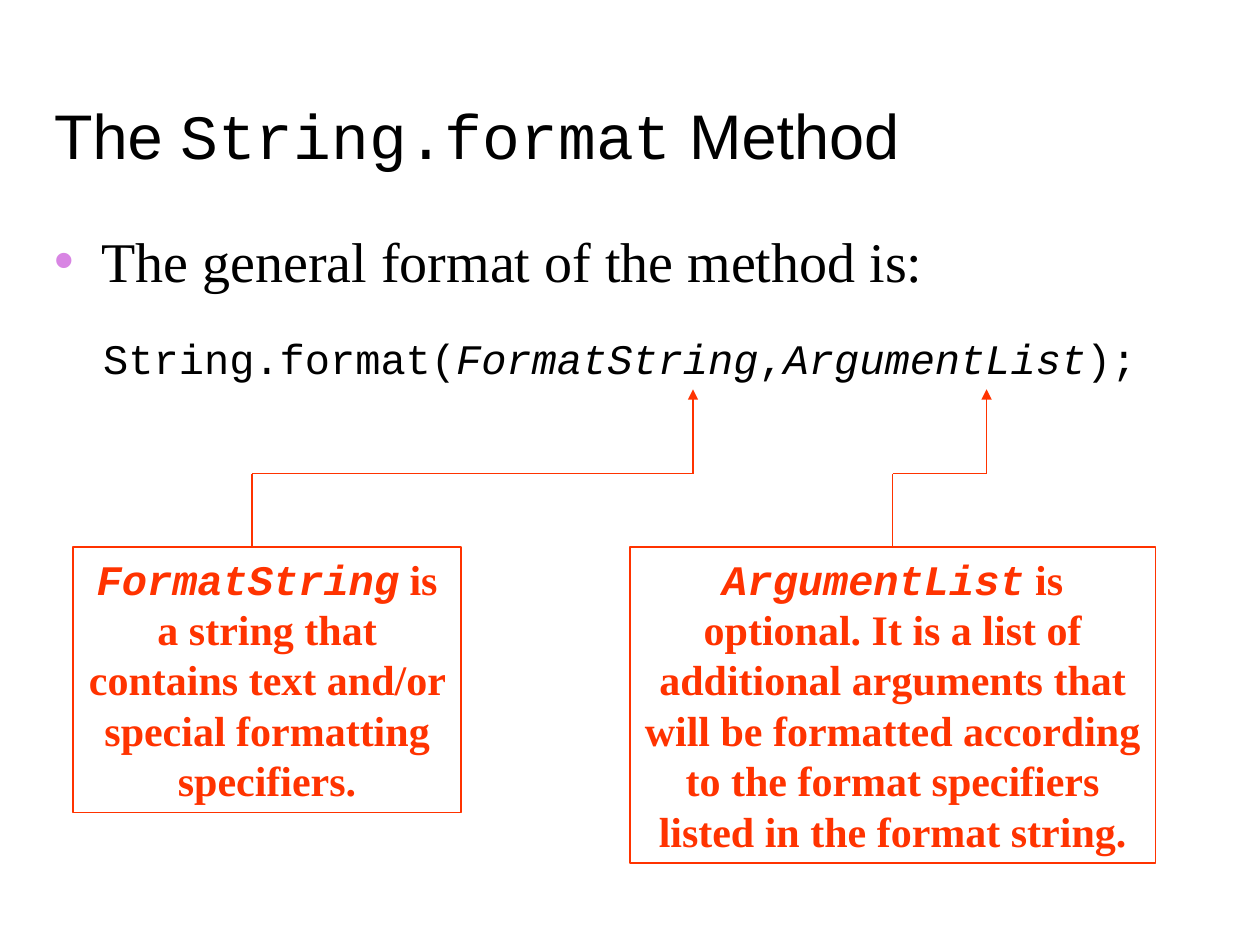
from lxml import etree
from pptx import Presentation
from pptx.dml.color import RGBColor
from pptx.enum.shapes import MSO_CONNECTOR, MSO_SHAPE
from pptx.enum.text import MSO_ANCHOR, MSO_AUTO_SIZE, PP_ALIGN
from pptx.oxml.ns import qn
from pptx.util import Inches, Pt

STRAIGHT = MSO_CONNECTOR.STRAIGHT
RECT = MSO_SHAPE.RECTANGLE
TOP, BOTTOM = MSO_ANCHOR.TOP, MSO_ANCHOR.BOTTOM
NO_FIT, GROW = MSO_AUTO_SIZE.NONE, MSO_AUTO_SIZE.SHAPE_TO_FIT_TEXT
LEFT, CENTER = PP_ALIGN.LEFT, PP_ALIGN.CENTER

SANS, SERIF, MONO = "Arial", "Times New Roman", "Courier New"
BLACK, RED, VIOLET = "000000", "FF3300", "D885E3"
BEND_Y, TIP_Y = 3.76, 3.09


def color(code):
    return RGBColor.from_string(code)


class Deck:
    def __init__(self):
        self.prs = Presentation()
        self.prs.slide_width, self.prs.slide_height = Inches(10), Inches(7.5)
        self.slide = self.prs.slides.add_slide(self.prs.slide_layouts[1])
        self.shapes = self.slide.shapes

    def place(self, shape, *box):
        shape.left, shape.top, shape.width, shape.height = map(Inches, box)

    def fill_text(self, shape, parts, size, ink=BLACK, align=LEFT, anchor=TOP,
                  fit=NO_FIT, bold=False):
        """Fill one paragraph from (text, font, italic) parts."""
        frame = shape.text_frame
        frame.word_wrap = True
        frame.auto_size = fit
        frame.vertical_anchor = anchor
        para = frame.paragraphs[0]
        para.alignment = align
        for text, name, italic in parts:
            run = para.add_run()
            run.text = text
            font = run.font
            font.name, font.size = name, Pt(size)
            font.bold, font.italic = bold, italic
            font.color.rgb = color(ink)
        return para

    def title(self, parts):
        shape = self.shapes.title
        self.place(shape, 0.33, 0.33, 9.42, 1.09)
        self.fill_text(shape, parts, 36, anchor=BOTTOM)

    def bullet(self, text):
        shape = self.slide.placeholders[1]
        self.place(shape, 0.33, 1.75, 9.07, 5)
        shape.text_frame.margin_right = 0
        para = self.fill_text(shape, [(text, SERIF, False)], 32)
        props = para._p.get_or_add_pPr()
        tint = etree.SubElement(props, qn("a:buClr"))
        etree.SubElement(tint, qn("a:srgbClr"), val=VIOLET)

    def code(self, parts, *box):
        shape = self.shapes.add_textbox(*map(Inches, box))
        para = self.fill_text(shape, parts, 24, align=CENTER, fit=GROW)
        para.space_before = para.space_after = Pt(4.8)

    def note(self, term, text, *box):
        shape = self.shapes.add_shape(RECT, *map(Inches, box))
        shape.shadow.inherit = False
        shape.fill.background()
        shape.line.color.rgb = color(RED)
        shape.line.width = Pt(0.75)
        parts = [(term, MONO, True), (text, SERIF, False)]
        self.fill_text(shape, parts, 24, RED, CENTER, fit=GROW, bold=True)
        return shape

    def line(self, start, end, arrow=False):
        link = self.shapes.add_connector(STRAIGHT, *start, *end)
        link.line.color.rgb = color(RED)
        link.line.width = Pt(0.75)
        if arrow:
            etree.SubElement(link.line._ln, qn("a:tailEnd"), type="triangle")
        etree.SubElement(link._element.spPr, qn("a:effectLst"))
        return link

    def elbow(self, box, tip, start=None):
        """Lead from the top of a box, by default its middle, up to the code."""
        x = box.left + box.width // 2 if start is None else Inches(start)
        bend, end = Inches(BEND_Y), Inches(tip)
        stem = self.line((x, box.top), (x, bend))
        if start is None:
            stem.begin_connect(box, 0)
        self.line((x, bend), (end, bend))
        self.line((end, bend), (end, Inches(TIP_Y)), arrow=True)


def main():
    deck = Deck()
    deck.title([("The ", SANS, False), ("String.format", MONO, False),
                (" Method", SANS, False)])
    deck.bullet("The general format of the method is:")
    deck.code([("String.format(", MONO, False), ("FormatString", MONO, True),
               (",", MONO, False), ("ArgumentList", MONO, True),
               (");", MONO, False)], 0.67, 2.59, 8.5, 0.99)
    text = deck.note("FormatString", " is a string that contains text and/or "
                     "special formatting specifiers.", 0.58, 4.34, 3.08, 2.11)
    args = deck.note("ArgumentList", " is optional. It is a list of additional "
                     "arguments that will be formatted according to the format "
                     "specifiers listed in the format string.",
                     5, 4.34, 4.17, 2.51)
    deck.elbow(text, 5.5, start=2)
    deck.elbow(args, 7.83)
    deck.prs.save("out.pptx")


if __name__ == "__main__":
    main()
